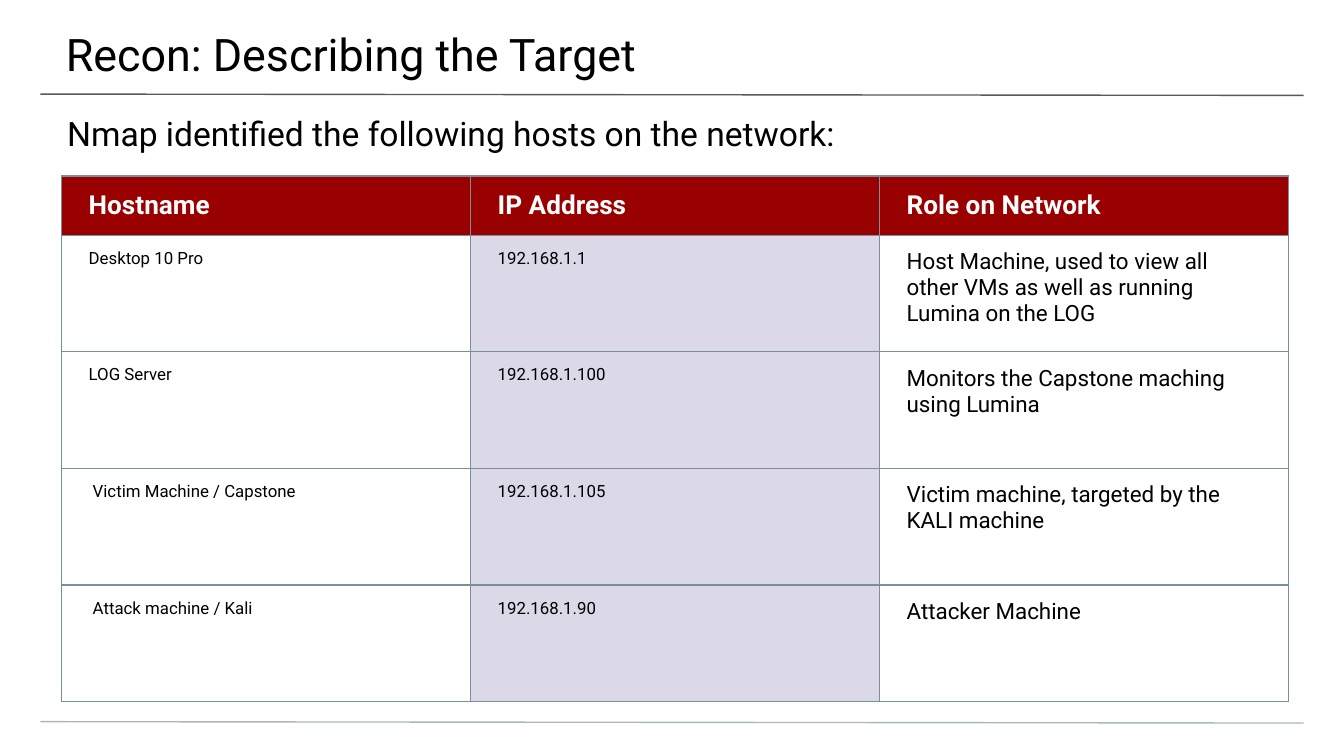
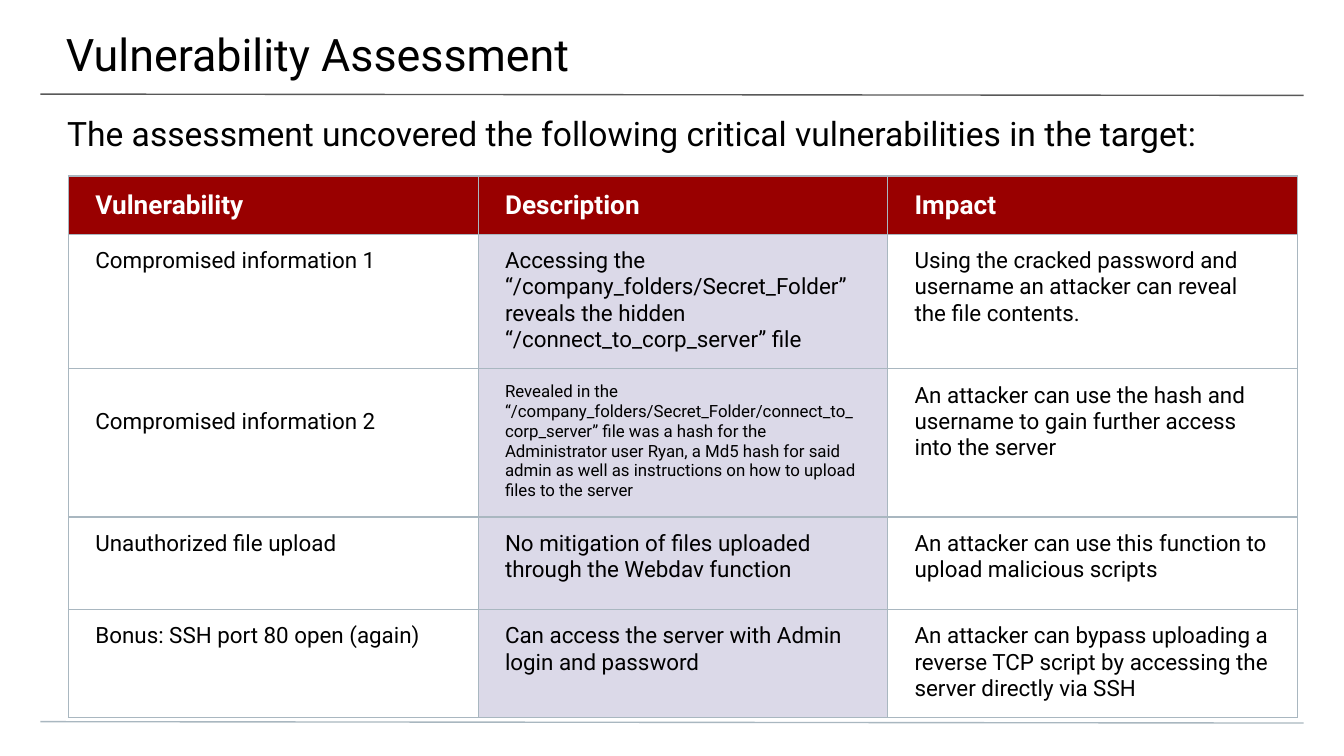
from dataclasses import dataclass

from lxml.etree import SubElement
from pptx import Presentation
from pptx.dml.color import RGBColor as Rgb
from pptx.enum.shapes import MSO_CONNECTOR as Connector
from pptx.enum.text import MSO_ANCHOR as Anchor
from pptx.oxml.ns import qn
from pptx.util import Emu, Inches, Pt

# Slide grid: 100 columns by 56.25 rows
SLIDE_WIDTH, SLIDE_HEIGHT = Inches(10), Inches(5.625)
COLUMN, ROW = SLIDE_WIDTH / 100, SLIDE_HEIGHT / 56.25


@dataclass(frozen=True)
class Theme:
    font: str = "Roboto"
    ink: str = "000000"
    paper: str = "FFFFFF"
    header: str = "990000"
    shade: str = "DBD9E8"
    title_rule: str = "595959"
    footer_rule: str = "A9B7C0"
    slate: str = "78909C"
    title_size: int = 24
    lead_size: int = 18
    header_size: int = 14
    body_size: int = 12
    small_size: int = 9
    line_width: float = 0.75


THEME = Theme()


@dataclass(frozen=True)
class Rule:
    row: float
    color: str


@dataclass(frozen=True)
class Banner:
    left: float
    top: float
    width: float
    height: float
    size: int
    insets: tuple[float, float, float, float]  # left, top, right, bottom


@dataclass(frozen=True)
class Entry:
    text: str
    size: int = THEME.body_size
    indent: float = 0  # extra columns on the left
    drop: float = 0  # extra rows above


@dataclass(frozen=True)
class Grid:
    left: float
    column_width: float
    header_height: float
    row_height: float
    border: str
    headings: tuple[str, ...]
    entries: list[tuple[Entry, ...]]


@dataclass(frozen=True)
class Page:
    title: str
    lead: str
    grid: Grid


# Parts shared by all slides
RULES = (Rule(7, THEME.title_rule), Rule(53.7, THEME.footer_rule))
TITLE = Banner(-0.1, 0, 100.3, 5.8, THEME.title_size, (5, 2, 3, 1))
LEAD = Banner(0, 7.4, 100, 4, THEME.lead_size, (5, 1, 5, 0))
TABLE_TOP = 13.1
SHADED_COLUMN = 1


def across(columns: float) -> Emu:
    return Emu(round(columns * COLUMN))


def down(rows: float) -> Emu:
    return Emu(round(rows * ROW))


def write(frame, text: str, *, size: int, color: str = THEME.ink, bold: bool = False) -> None:
    span = frame.paragraphs[0].add_run()
    span.text = text
    span.font.name = THEME.font
    span.font.size = Pt(size)
    span.font.bold = bold
    span.font.color.rgb = Rgb.from_string(color)


def set_insets(target, left: float, top: float, right: float, bottom: float) -> None:
    target.margin_left, target.margin_right = across(left), across(right)
    target.margin_top, target.margin_bottom = down(top), down(bottom)


def draw_rule(slide, rule: Rule) -> None:
    line = slide.shapes.add_connector(
        Connector.STRAIGHT, across(3), down(rule.row), across(97), down(rule.row + 0.1))
    line.line.color.rgb = Rgb.from_string(rule.color)
    line.line.width = Pt(THEME.line_width)
    SubElement(line._element.spPr, qn("a:effectLst"))


def draw_banner(slide, banner: Banner, text: str) -> None:
    box = slide.shapes.add_textbox(
        across(banner.left), down(banner.top), across(banner.width), down(banner.height))
    box.text_frame.word_wrap = True
    set_insets(box.text_frame, *banner.insets)
    write(box.text_frame, text, size=banner.size)


def set_borders(cell, color: str) -> None:
    properties = cell._tc.get_or_add_tcPr()
    for side in ("a:lnL", "a:lnR", "a:lnT", "a:lnB"):
        edge = SubElement(properties, qn(side), w=str(Pt(THEME.line_width)))
        fill = SubElement(edge, qn("a:solidFill"))
        SubElement(fill, qn("a:srgbClr"), val=color)


def fill_cell(cell, color: str | None) -> None:
    if color is None:
        cell.fill.background()
    else:
        cell.fill.solid()
        cell.fill.fore_color.rgb = Rgb.from_string(color)


def draw_grid(slide, grid: Grid) -> None:
    count = len(grid.headings)
    heights = [grid.header_height] + [grid.row_height] * len(grid.entries)
    table = slide.shapes.add_table(
        len(heights), count, across(grid.left), down(TABLE_TOP),
        across(grid.column_width * count), down(sum(heights))).table
    table.first_row = table.horz_banding = False
    for column in table.columns:
        column.width = across(grid.column_width)
    for row, height in zip(table.rows, heights):
        row.height = down(height)

    # Header row
    for index, heading in enumerate(grid.headings):
        cell = table.cell(0, index)
        set_borders(cell, grid.border)
        fill_cell(cell, THEME.header)
        set_insets(cell, 2, 1, 2, 1)
        cell.vertical_anchor = Anchor.MIDDLE
        write(cell.text_frame, heading, size=THEME.header_size, color=THEME.paper, bold=True)

    # Body rows
    for row_index, entries in enumerate(grid.entries, start=1):
        for index, entry in enumerate(entries):
            cell = table.cell(row_index, index)
            set_borders(cell, grid.border)
            fill_cell(cell, THEME.shade if index == SHADED_COLUMN else None)
            set_insets(cell, 2 + entry.indent, 1 + entry.drop, 2, 1)
            write(cell.text_frame, entry.text, size=entry.size)


def host(name: str, address: str, role: str, indent: float = 0) -> tuple[Entry, ...]:
    return (Entry(name, THEME.small_size, indent=indent),
            Entry(address, THEME.small_size), Entry(role))


HOSTS = Grid(
    left=4.6, column_width=30.43, header_height=4.4, row_height=8.68, border=THEME.slate,
    headings=("Hostname", "IP Address", "Role on Network"),
    entries=[
        host("Desktop 10 Pro", "192.168.1.1",
             "Host Machine, used to view all other VMs as well as running Lumina on the LOG"),
        host("LOG Server", "192.168.1.100", "Monitors the Capstone maching using Lumina"),
        host("Victim Machine / Capstone", "192.168.1.105",
             "Victim machine, targeted by the KALI machine", indent=0.3),
        host("Attack machine / Kali", "192.168.1.90", "Attacker Machine", indent=0.3),
    ])

VULNERABILITIES = Grid(
    left=5.1, column_width=30.48, header_height=4.3, row_height=6.9, border=THEME.footer_rule,
    headings=("Vulnerability", "Description", "Impact"),
    entries=[
        (Entry("Compromised information 1"),
         Entry("Accessing the “/company_folders/Secret_Folder” reveals the hidden "
               "“/connect_to_corp_server” file"),
         Entry("Using the cracked password and username an attacker can reveal "
               "the file contents.")),
        (Entry("Compromised information 2", drop=1.95),
         Entry("Revealed in the “/company_folders/Secret_Folder/connect_to_corp_server” file "
               "was a hash for the Administrator user Ryan, a Md5 hash for said admin as well "
               "as instructions on how to upload files to the server", THEME.small_size),
         Entry("An attacker can use the hash and username to gain further access "
               "into the server")),
        (Entry("Unauthorized file upload"),
         Entry("No mitigation of files uploaded through the Webdav function"),
         Entry("An attacker can use this function to upload malicious scripts")),
        (Entry("Bonus: SSH port 80 open (again)"),
         Entry("Can access the server with Admin login and password"),
         Entry("An attacker can bypass uploading a reverse TCP script by accessing "
               "the server directly via SSH")),
    ])

PAGES = (
    Page("Recon: Describing the Target",
         "Nmap identified the following hosts on the network:", HOSTS),
    Page("Vulnerability Assessment",
         "The assessment uncovered the following critical vulnerabilities in the target:",
         VULNERABILITIES),
)


def main() -> None:
    deck = Presentation()
    deck.slide_width, deck.slide_height = SLIDE_WIDTH, SLIDE_HEIGHT
    for page in PAGES:
        slide = deck.slides.add_slide(deck.slide_layouts[6])
        for rule in RULES:
            draw_rule(slide, rule)
        draw_banner(slide, TITLE, page.title)
        draw_banner(slide, LEAD, page.lead)
        draw_grid(slide, page.grid)
    deck.save("out.pptx")


if __name__ == "__main__":
    main()
